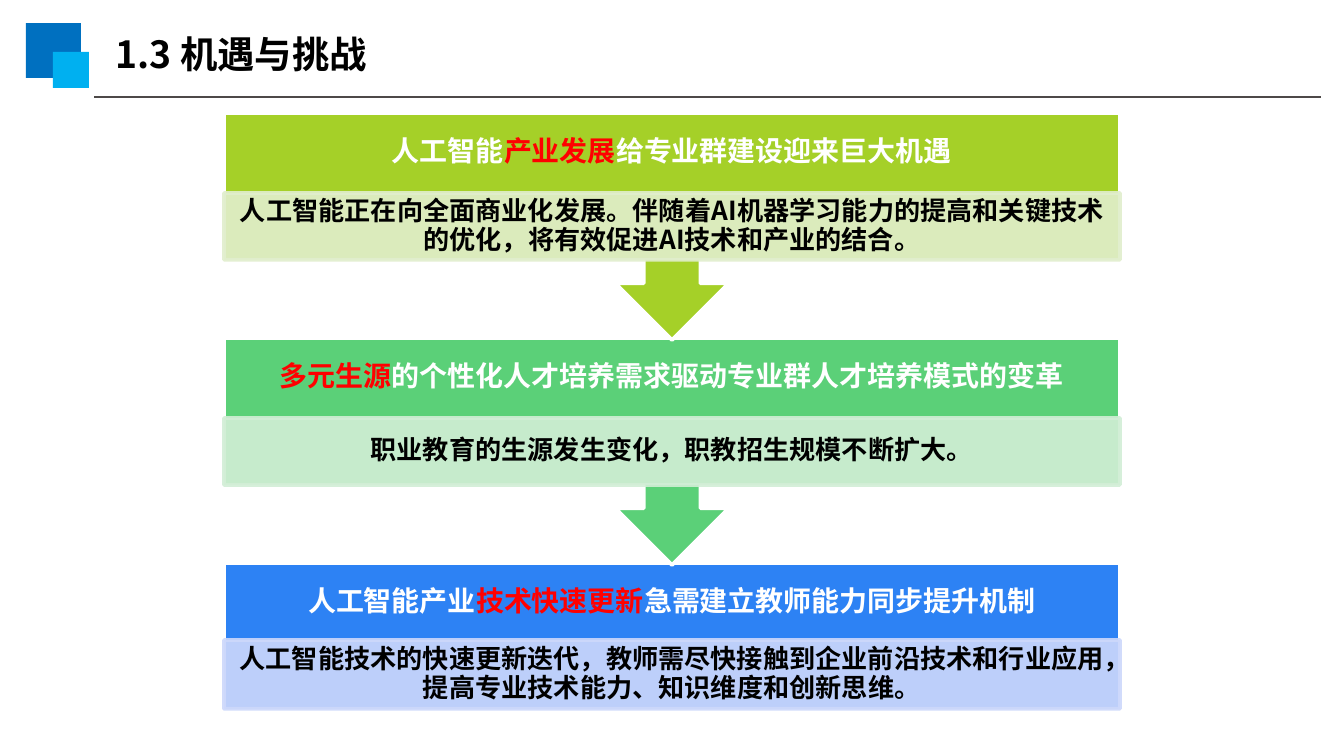
from dataclasses import dataclass

from pptx import Presentation, util as u
from pptx.dml.color import RGBColor
from pptx.enum import shapes, text
from pptx.oxml.ns import qn
from pptx.slide import Slide
from pptx.text.text import TextFrame
from lxml import etree

EMU_PER_PX = 914400 / 134.4
CJK_FONT = "Noto Sans CJK SC"
LATIN_FONT = "Arial"

BLACK = RGBColor(0x00, 0x00, 0x00)
WHITE = RGBColor(0xFF, 0xFF, 0xFF)
RED = RGBColor(0xFF, 0x00, 0x00)
BLUE = RGBColor(0x00, 0x70, 0xC0)
SKY = RGBColor(0x00, 0xB0, 0xF0)
RULE_GREY = RGBColor(0x4D, 0x49, 0x48)
LIME = RGBColor(0xA5, 0xD0, 0x28)
LIME_TINT = RGBColor(0xE1, 0xEE, 0xCD)
GREEN = RGBColor(0x5B, 0xD0, 0x78)
GREEN_TINT = RGBColor(0xD2, 0xEE, 0xD6)
AZURE = RGBColor(0x2D, 0x82, 0xF4)
AZURE_TINT = RGBColor(0xCD, 0xD8, 0xFB)

STAGE_LEFT, STAGE_TOP, STAGE_WIDTH, STAGE_PITCH = 224, 113, 896, 225
CALLOUT_HEIGHT, BLOCK_HEIGHT, HEADING_HEIGHT = 227, 148, 79
TINT_OPACITY = 90


@dataclass(frozen=True)
class Box:
    left: int
    top: int
    width: int
    height: int

    def emu(self) -> tuple[int, ...]:
        return tuple(px(value) for value in (self.left, self.top, self.width, self.height))


@dataclass(frozen=True)
class Stage:
    heading: tuple[tuple[str, RGBColor], ...]
    detail: str
    color: RGBColor
    tint: RGBColor
    detail_offset: int = 80
    detail_height: int = 67
    has_arrow: bool = True


STAGES = (
    Stage(
        (("人工智能", WHITE), ("产业发展", RED), ("给专业群建设迎来巨大机遇", WHITE)),
        "人工智能正在向全面商业化发展。伴随着AI机器学习能力的提高和关键技术的优化，将有效促进AI技术和产业的结合。",
        LIME, LIME_TINT,
    ),
    Stage(
        (("多元生源", RED), ("的个性化人才培养需求驱动专业群人才培养模式的变革", WHITE)),
        "职业教育的生源发生变化，职教招生规模不断扩大。",
        GREEN, GREEN_TINT,
    ),
    Stage(
        (("人工智能产业", WHITE), ("技术快速更新", RED), ("急需建立教师能力同步提升机制", WHITE)),
        "人工智能技术的快速更新迭代，教师需尽快接触到企业前沿技术和行业应用，提高专业技术能力、知识维度和创新思维。",
        AZURE, AZURE_TINT, 77, 69, False,
    ),
)


def px(value: int) -> int:
    return round(value * EMU_PER_PX)


def draw_shape(slide: Slide, kind: shapes.MSO_SHAPE, box: Box, fill: RGBColor,
               outline: RGBColor | None = None, opacity: int = 100):
    shape = slide.shapes.add_shape(kind, *box.emu())
    shape.shadow.inherit = False
    shape.fill.solid()
    shape.fill.fore_color.rgb = fill
    if outline is None:
        shape.line.fill.background()
    else:
        shape.line.color.rgb = outline
        shape.line.width = u.Pt(2)
    if opacity < 100:
        for color in shape._element.spPr.findall(".//" + qn("a:srgbClr")):
            etree.SubElement(color, qn("a:alpha"), val=str(opacity * 1000))
    return shape


def write_text(frame: TextFrame, parts: tuple[tuple[str, RGBColor], ...], size: int,
               font_name: str, align: text.PP_ALIGN, spacing: float) -> None:
    paragraph = frame.paragraphs[0]
    paragraph.alignment = align
    paragraph.line_spacing = spacing
    font = paragraph.font
    font.size = u.Pt(size)
    font.bold = True
    font.name = font_name
    etree.SubElement(font._element, qn("a:ea"), typeface=CJK_FONT)
    for wording, color in parts:
        run = paragraph.add_run()
        run.text = wording
        run.font.color.rgb = color


def write_centered(frame: TextFrame, parts: tuple[tuple[str, RGBColor], ...], size: int,
                   font_name: str, inset_x: int, inset_y: int) -> None:
    frame.word_wrap = True
    frame.vertical_anchor = text.MSO_ANCHOR.MIDDLE
    frame.margin_left = frame.margin_right = px(inset_x)
    frame.margin_top = frame.margin_bottom = px(inset_y)
    write_text(frame, parts, size, font_name, text.PP_ALIGN.CENTER, 0.9)


def draw_header(slide: Slide) -> None:
    draw_shape(slide, shapes.MSO_SHAPE.RECTANGLE, Box(26, 23, 55, 55), BLUE)
    draw_shape(slide, shapes.MSO_SHAPE.RECTANGLE, Box(53, 52, 36, 36), SKY)
    rule = slide.shapes.add_connector(
        shapes.MSO_CONNECTOR.STRAIGHT, px(1321), px(97), px(94), px(97))
    rule.line.color.rgb = RULE_GREY
    rule.line.width = u.Pt(0.75)
    etree.SubElement(rule._element.spPr, qn("a:effectLst"))

    title = slide.shapes.title
    title.left, title.top, title.width, title.height = Box(102, 24, 570, 59).emu()
    frame = title.text_frame
    frame.word_wrap = True
    frame.auto_size = text.MSO_AUTO_SIZE.SHAPE_TO_FIT_TEXT
    frame.vertical_anchor = text.MSO_ANCHOR.TOP
    write_text(frame, (("1.3 机遇与挑战", BLACK),), 20, CJK_FONT, text.PP_ALIGN.LEFT, 1.0)


def draw_stage(slide: Slide, stage: Stage, top: int) -> None:
    if stage.has_arrow:
        block = draw_shape(slide, shapes.MSO_SHAPE.UP_ARROW_CALLOUT,
                           Box(STAGE_LEFT, top, STAGE_WIDTH, CALLOUT_HEIGHT), stage.color, WHITE)
        block.rotation = 180
    else:
        draw_shape(slide, shapes.MSO_SHAPE.RECTANGLE,
                   Box(STAGE_LEFT, top, STAGE_WIDTH, BLOCK_HEIGHT), stage.color, WHITE)
    heading = slide.shapes.add_textbox(*Box(STAGE_LEFT, top, STAGE_WIDTH, HEADING_HEIGHT).emu())
    write_centered(heading.text_frame, stage.heading, 15, LATIN_FONT, 16, 16)
    detail = draw_shape(
        slide, shapes.MSO_SHAPE.RECTANGLE,
        Box(STAGE_LEFT, top + stage.detail_offset, STAGE_WIDTH, stage.detail_height),
        stage.tint, stage.tint, TINT_OPACITY)
    write_centered(detail.text_frame, ((stage.detail, BLACK),), 14, CJK_FONT, 15, 3)


def main() -> None:
    presentation = Presentation()
    presentation.slide_width, presentation.slide_height = px(1344), px(756)
    slide = presentation.slides.add_slide(presentation.slide_layouts[5])
    draw_header(slide)
    for index, stage in reversed(tuple(enumerate(STAGES))):
        draw_stage(slide, stage, STAGE_TOP + index * STAGE_PITCH)
    presentation.save("out.pptx")


if __name__ == "__main__":
    main()
